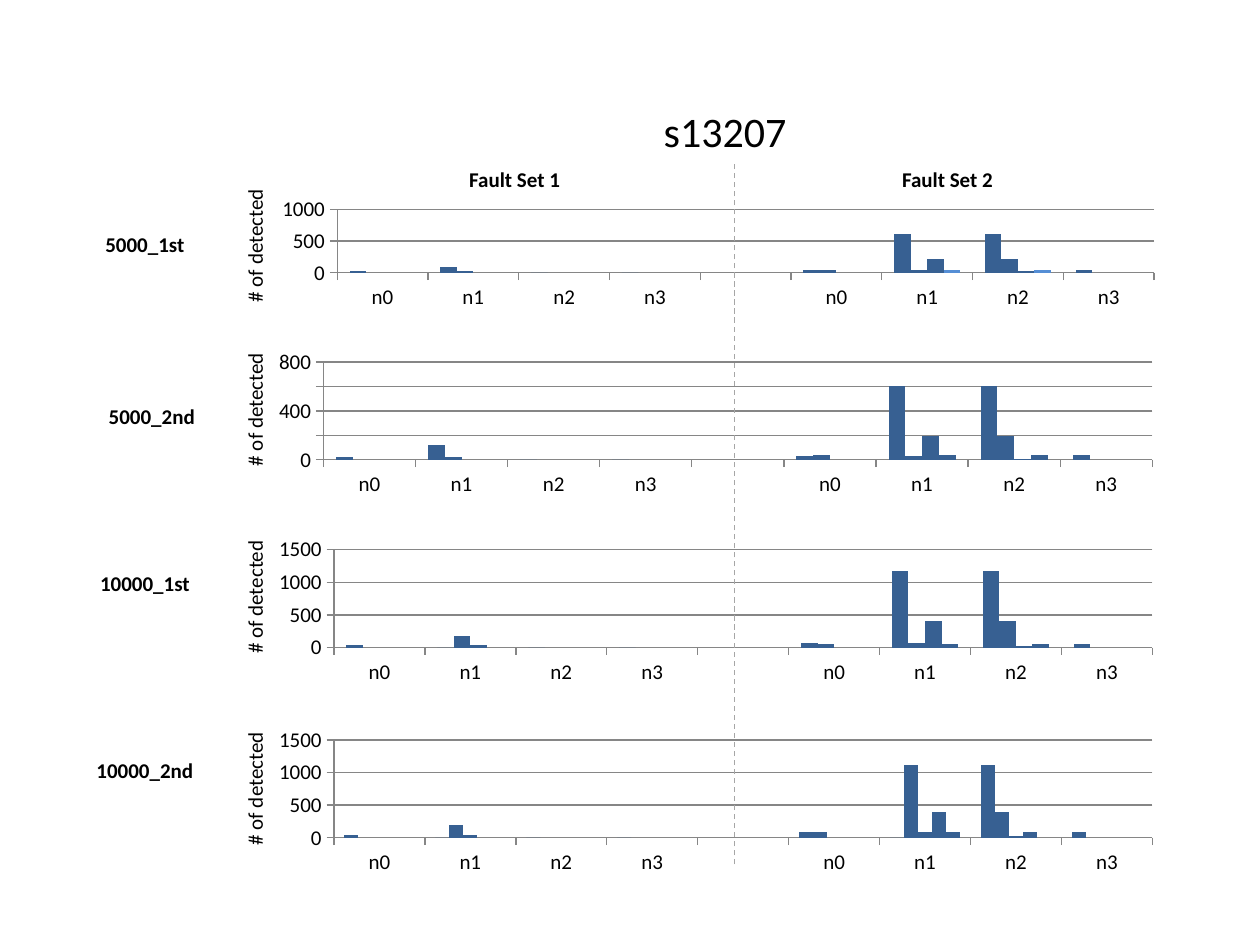
from pptx import Presentation
from pptx import util as u
from pptx.chart.data import CategoryChartData
from pptx.dml.color import RGBColor
from pptx.enum import chart as ch, dml, shapes, text
from pptx.oxml import parse_xml
from pptx.oxml.ns import nsdecls, qn

COLORS = {"ink": "000000", "bar": "376092", "light_bar": "558ED5",
          "grid": "868686", "divider": "A6A6A6"}
FONT = "Calibri"
NODES = ["n0", "n1", "n2", "n3"]
CATEGORIES = NODES + [""] + NODES
FIRST_PLOT_AREA = {"x": 0.084, "y": 0.182, "w": 0.898, "h": 0.413}

# Each series is (Fault Set 1, Fault Set 2), missing trailing nodes stay empty.
RUNS = [
    {"name": "5000_1st", "label": (0.64, 1.79, 1.02), "top": 1.44, "axis_top": 1.8,
     "scale": (1000, 500), "plot_area": FIRST_PLOT_AREA,
     "colors": ["bar", "bar", "bar", "light_bar"],
     "series": [([30, 90, 0, 0], [40, 610, 610, 40]),
                ([None, 30], [40, 40, 220]),
                ([], [None, 220, 20]),
                ([], [None, 40, 40])]},
    {"name": "5000_2nd", "label": (0.69, 3.15, 1.03), "top": 2.75, "axis_top": 3.1,
     "scale": (800, 200),
     "series": [([20, 120, 0, 0], [30, 600, 600, 40]),
                ([None, 20], [40, 30, 190]),
                ([], [None, 190, 10]),
                ([], [None, 40, 40])]},
    {"name": "10000_1st", "label": (0.64, 4.48, 1.02), "top": 4.24, "axis_top": 4.59,
     "scale": (1500, 500),
     "series": [([40, 0, 0, 0], [70, 1180, 1180, 60]),
                ([None, 170], [60, 70, 400]),
                ([None, 40], [None, 400, 20]),
                ([], [None, 60, 60])]},
    {"name": "10000_2nd", "label": (0.64, 5.96, 1.02), "top": 5.75, "axis_top": 6.11,
     "scale": (1500, 500),
     "series": [([40, 0, 0, 0], [80, 0, 1110, 90]),
                ([None, 200], [90, 1110, 390]),
                ([None, 40], [None, 80, 20]),
                ([], [None, 390, 90]),
                ([], [None, 90])]},
]


def rgb(name):
    return RGBColor.from_string(COLORS[name])


def style_font(font, size, bold=False):
    font.name = FONT
    font.size = u.Pt(size)
    font.bold = bold
    font.color.rgb = rgb("ink")


def add_label(slide, wording, left, top, width, height=0.3, size=12, bold=False, rotation=0):
    label = slide.shapes.add_textbox(*map(u.Inches, (left, top, width, height)))
    label.rotation = rotation
    frame = label.text_frame
    frame.word_wrap = True
    frame.auto_size = text.MSO_AUTO_SIZE.SHAPE_TO_FIT_TEXT
    frame.text = wording
    line = frame.paragraphs[0]
    line.alignment = text.PP_ALIGN.CENTER
    style_font(line.runs[0].font, size, bold)


def pad(values):
    return values + [None] * (len(NODES) - len(values))


def style_axis(axis):
    axis.major_tick_mark = ch.XL_TICK_MARK.OUTSIDE
    axis.minor_tick_mark = ch.XL_TICK_MARK.NONE
    style_font(axis.tick_labels.font, 12)
    axis.format.line.color.rgb = rgb("grid")
    axis.format.line.width = u.Pt(0.75)


def set_plot_area(chart, area):
    modes = "".join(f'<c:{key}Mode val="edge"/>' for key in "xy")
    sizes = "".join(f'<c:{key} val="{value}"/>' for key, value in area.items())
    layout = parse_xml(
        f'<c:layout {nsdecls("c")}><c:manualLayout><c:layoutTarget val="inner"/>'
        f'{modes}{sizes}</c:manualLayout></c:layout>')
    plot_area = chart.element.find(".//" + qn("c:plotArea"))
    for previous in plot_area.findall(qn("c:layout")):
        plot_area.remove(previous)
    plot_area.insert(0, layout)


def add_fault_chart(slide, run):
    data = CategoryChartData()
    data.categories = CATEGORIES
    for number, (set_1, set_2) in enumerate(run["series"], 1):
        data.add_series(f"Series {number}", pad(set_1) + [None] + pad(set_2))
    chart = slide.shapes.add_chart(
        ch.XL_CHART_TYPE.COLUMN_CLUSTERED,
        *map(u.Inches, (2.07, run["top"], 7.22, 1.22)), data).chart
    chart.has_legend = False
    chart.has_title = False
    style_font(chart.font, 18)

    columns = chart.plots[0]
    columns.gap_width = 150
    columns.overlap = 0
    columns.vary_by_categories = False
    colors = run.get("colors", ["bar"] * len(run["series"]))
    for series, color in zip(columns.series, colors):
        series.format.fill.solid()
        series.format.fill.fore_color.rgb = rgb(color)
        series.invert_if_negative = False

    counts = chart.value_axis
    style_axis(chart.category_axis)
    style_axis(counts)
    counts.minimum_scale = 0
    counts.maximum_scale, counts.major_unit = run["scale"]
    counts.has_major_gridlines = True
    counts.major_gridlines.format.line.color.rgb = rgb("grid")
    counts.major_gridlines.format.line.width = u.Pt(0.75)
    if "plot_area" in run:
        set_plot_area(chart, run["plot_area"])


def add_divider(slide):
    divider = slide.shapes.add_connector(
        shapes.MSO_CONNECTOR.STRAIGHT, *map(u.Inches, (5.83, 6.86, 5.83, 1.3)))
    divider.line.color.rgb = rgb("divider")
    divider.line.width = u.Pt(0.75)
    divider.line.dash_style = dml.MSO_LINE.DASH
    divider.element.spPr.append(parse_xml(f'<a:effectLst {nsdecls("a")}/>'))


def main():
    deck = Presentation()
    deck.slide_width, deck.slide_height = u.Inches(10), u.Inches(7.5)
    slide = deck.slides.add_slide(deck.slide_layouts[6])

    add_label(slide, "s13207", 4.59, 0.79, 2.33, 0.5, size=24)
    for run in RUNS:
        add_fault_chart(slide, run)
        add_label(slide, run["name"], *run["label"], bold=True)
    add_label(slide, "Fault Set 1", 3.43, 1.27, 1.31, bold=True)
    add_label(slide, "Fault Set 2", 6.88, 1.27, 1.28, bold=True)
    add_divider(slide)
    for run in RUNS:
        add_label(slide, "# of detected", 1.13, run["axis_top"], 1.78, rotation=270)

    deck.save("out.pptx")


if __name__ == "__main__":
    main()
